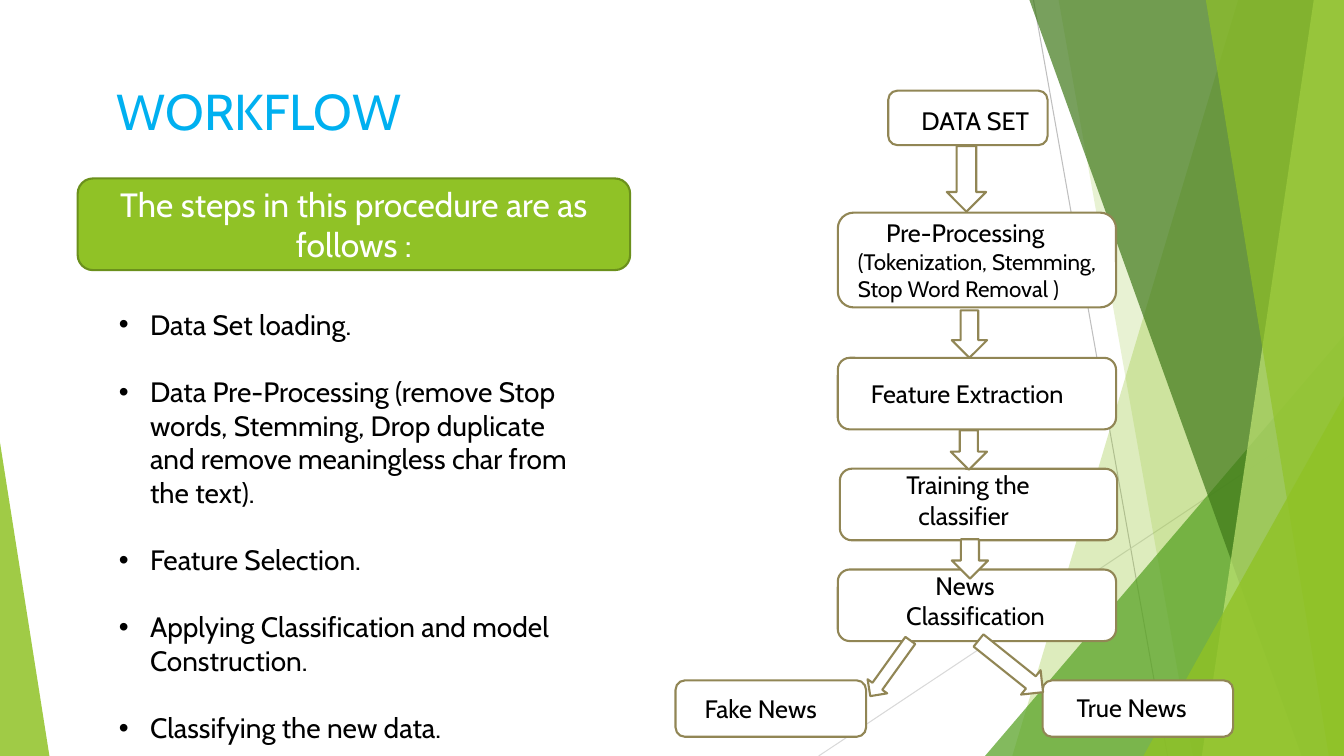
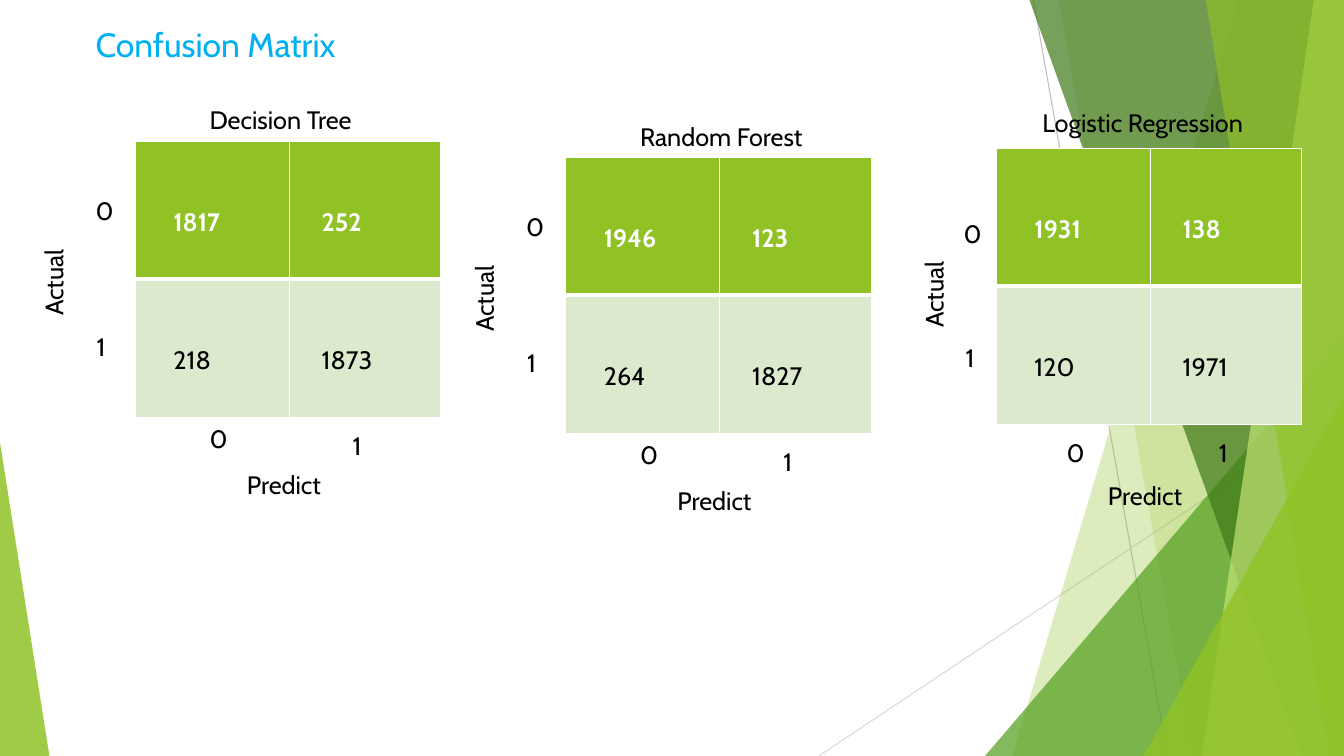
from lxml import etree
from pptx import Presentation
from pptx.dml.color import RGBColor
from pptx.enum.shapes import MSO_CONNECTOR, MSO_SHAPE
from pptx.enum.text import MSO_ANCHOR, PP_ALIGN
from pptx.oxml import parse_xml
from pptx.oxml.ns import nsdecls, qn
from pptx.util import Inches, Pt

FONT = "Cabin"
COLORS = {
    "title": "00B0F0", "text": "000000", "white": "FFFFFF",
    "green": "90C226", "leaf": "54A021", "forest": "3F7819", "lime": "C0E474",
    "banner_line": "6B901C", "flow_line": "918655", "pale": "DBE9CD",
    "ray_dark": "BFBFBF", "ray_light": "D9D9D9",
}


def rgb(name):
    return RGBColor.from_string(COLORS[name])


def paint(sp, fill, line=None, alpha=None):
    """Give a shape a flat fill, an optional outline and an opacity in percent."""
    sp.shadow.inherit = False
    sp.fill.solid()
    sp.fill.fore_color.rgb = rgb(fill)
    if alpha:
        clr = sp.element.spPr.find(qn("a:solidFill"))[0]
        etree.SubElement(clr, qn("a:alpha"), val=str(alpha * 1000))
    if line:
        sp.line.color.rgb = rgb(line)
        sp.line.width = Pt(1.5)
    else:
        sp.line.fill.background()


def write(tf, text, size=18, color="text", bold=False, align=None,
          indent=0, bullet=False, after=0):
    """Add one paragraph to a text frame, filling the first one if it is empty."""
    tf.word_wrap = True
    p = tf.add_paragraph() if tf.text else tf.paragraphs[0]
    p.alignment = align
    p.space_after = Pt(after)
    r = p.add_run()
    r.text = text
    r.font.name, r.font.size, r.font.bold = FONT, Pt(size), bold
    r.font.color.rgb = rgb(color)
    pPr = p._p.get_or_add_pPr()
    if bullet:
        pPr.set("marL", str(Inches(indent)))
        pPr.set("indent", str(-Inches(indent)))
        etree.SubElement(pPr, qn("a:buFont"), typeface="Arial")
        etree.SubElement(pPr, qn("a:buChar"), char="•")
    elif indent:
        pPr.set("marL", "0")
        pPr.set("indent", str(Inches(indent)))


prs = Presentation()
prs.slide_width, prs.slide_height = Inches(13.33), Inches(7.5)
layout = prs.slide_layouts[6]
for ph in list(layout.placeholders):
    ph.element.getparent().remove(ph.element)
workflow = prs.slides.add_slide(layout)
matrices = prs.slides.add_slide(layout)

# Backdrop: drawn once as a group, then moved to the layout both slides use
backdrop = workflow.shapes.add_group_shape()
for x1, y1, x2, y2, color in [
    (10.25, 0, 11.58, 7.5, "ray_dark"),
    (13.33, 4.03, 8.12, 7.5, "ray_light"),
]:
    ray = backdrop.shapes.add_connector(
        MSO_CONNECTOR.STRAIGHT, Inches(x1), Inches(y1), Inches(x2), Inches(y2))
    ray.line.color.rgb = rgb(color)
    ray.line.width = Pt(0.75)
    etree.SubElement(ray.element.spPr, qn("a:effectLst"))

# Bands run from a top x to a bottom x and fill up to the right edge;
# triangles have a frame and the side on which the tip stands
for kind, geometry, color, alpha in [
    ("band", (12.28, 10.04), "green", 30),
    ("band", (10.5, 11.83), "green", 20),
    ("triangle", (9.77, 3.33, 3.56, 4.17, 1), "leaf", 72),
    ("band", (10.21, 12.91), "forest", 70),
    ("band", (13.03, 11.92), "lime", 70),
    ("band", (11.96, 13.18), "green", 65),
    ("triangle", (11.34, 3.93, 1.99, 3.57, 1), "green", 80),
    ("triangle", (0, 4.39, 0.49, 3.11, 0), "green", 85),
]:
    if kind == "band":
        top, bottom = geometry
        outline = backdrop.shapes.build_freeform(Inches(top), 0)
        outline.add_line_segments(
            [(Inches(x), Inches(y)) for x, y in
             [(13.33, 0), (13.33, 7.5), (bottom, 7.5)]])
        sp = outline.convert_to_shape()
    else:
        *frame, tip = geometry
        sp = backdrop.shapes.add_shape(
            MSO_SHAPE.ISOSCELES_TRIANGLE, *map(Inches, frame))
        sp.adjustments[0] = tip
    paint(sp, color, alpha=alpha)
layout.shapes.element.append(backdrop.element)

# Slide 1: workflow
title = workflow.shapes.add_textbox(*map(Inches, (1.06, 0.75, 4.77, 0.71)))
write(title.text_frame, "WORKFLOW", size=36, color="title")

banner = workflow.shapes.add_shape(
    MSO_SHAPE.ROUNDED_RECTANGLE, *map(Inches, (0.77, 1.77, 5.48, 0.91)))
paint(banner, "green", "banner_line")
banner.text_frame.vertical_anchor = MSO_ANCHOR.MIDDLE
write(banner.text_frame, "The steps in this procedure are as follows :",
      size=24, color="white", align=PP_ALIGN.CENTER)

steps = workflow.shapes.add_textbox(*map(Inches, (1.08, 3, 4.66, 4.48)))
for text in [
    "Data Set loading.",
    "Data Pre-Processing (remove Stop words, Stemming, Drop duplicate and "
    "remove meaningless char from the text).",
    "Feature Selection.",
    "Applying Classification and model Construction.",
    "Classifying the new data.",
]:
    write(steps.text_frame, text, size=20, indent=0.31, bullet=True, after=24)

for box in [
    (8.81, 0.9, 1.58, 0.54),
    (8.31, 2.11, 2.76, 0.94),
    (8.31, 3.55, 2.76, 0.71),
    (8.33, 4.65, 2.75, 0.71),
    (8.31, 5.65, 2.76, 0.71),
    (6.7, 6.75, 1.89, 0.56),
    (10.34, 6.75, 1.89, 0.56),
]:
    sp = workflow.shapes.add_shape(MSO_SHAPE.ROUNDED_RECTANGLE, *map(Inches, box))
    paint(sp, "white", "flow_line")

for *frame, rotation in [
    (9.39, 1.45, 0.39, 0.65, 0),
    (9.44, 3.08, 0.35, 0.47, 0),
    (9.43, 4.27, 0.36, 0.39, 0),
    (9.44, 5.35, 0.36, 0.39, 0),
    (8.71, 6.29, 0.24, 0.68, 35.7),
    (9.87, 6.2, 0.31, 0.82, 308.7),
]:
    arrow = workflow.shapes.add_shape(MSO_SHAPE.DOWN_ARROW, *map(Inches, frame))
    arrow.rotation = rotation
    paint(arrow, "white", "flow_line")

# Each label: frame, then lines as (text, size, first-line indent)
for frame, lines in [
    ((9.04, 1, 1.32, 0.4), [("DATA SET", 18, 0)]),
    ((8.41, 2.11, 2.76, 0.94), [("Pre-Processing", 18, 0.28),
                                ("(Tokenization, Stemming,", 16, 0),
                                ("Stop Word Removal )", 16, 0)]),
    ((8.54, 3.7, 2.38, 0.4), [("Feature Extraction", 18, 0)]),
    ((8.89, 4.61, 1.79, 0.71), [("Training the", 18, 0), ("classifier", 18, 0.12)]),
    ((8.89, 5.61, 1.9, 0.71), [("News Classification", 18, 0.29)]),
    ((6.89, 6.83, 1.85, 0.4), [("Fake News", 18, 0)]),
    ((10.58, 6.82, 1.54, 0.4), [("True News", 18, 0)]),
]:
    label = workflow.shapes.add_textbox(*map(Inches, frame))
    for text, size, indent in lines:
        write(label.text_frame, text, size=size, indent=indent)

# Slide 2: confusion matrices
title = matrices.shapes.add_textbox(*map(Inches, (0.85, 0.19, 4.17, 0.5)))
write(title.text_frame, "Confusion Matrix", size=24, color="title")

# Label offsets from the table corner: name, actual 0 and 1, predicted 0 and 1, axes
OFFSETS = [(0.64, -0.41), (-0.49, 0.49), (-0.48, 1.84), (0.64, 2.75),
           (2.06, 2.82), (1.01, 3.21), (-1.73, 0.71)]
WIDE_OFFSETS = [(0.36, -0.45), (-0.42, 0.65), (-0.4, 1.88), (0.6, 2.82),
                (2.11, 2.82), (1.01, 3.25), (-1.54, 0.76)]
WIDTHS = [2.41, 0.39, 0.39, 0.39, 0.39, 1.84, 1.84]

for name, left, top, values, offsets in [
    ("Decision Tree", 1.34, 1.4, [(1817, 252), (218, 1873)], OFFSETS),
    ("Random Forest", 5.61, 1.56, [(1946, 123), (264, 1827)], OFFSETS),
    ("Logistic Regression", 9.88, 1.47, [(1931, 138), (120, 1971)], WIDE_OFFSETS),
]:
    table = matrices.shapes.add_table(
        2, 2, *map(Inches, (left, top, 3.03, 2.74))).table
    table.first_row = table.horz_banding = False
    for col, width in zip(table.columns, (1.53, 1.5)):
        col.width = Inches(width)
    for i, row in enumerate(values):
        table.rows[i].height = Inches(1.37)
        for j, value in enumerate(row):
            cell = table.cell(i, j)
            cell.margin_top = Inches(0.65)
            cell.margin_left = Inches((0.38, 0.32)[j])
            inner = "B" if i == 0 else "T"
            for side in "LRTB":
                width = Pt(3 if side == inner else 1)
                cell._tc.get_or_add_tcPr().append(parse_xml(
                    f'<a:ln{side} {nsdecls("a")} w="{width}"><a:solidFill>'
                    f'<a:srgbClr val="{COLORS["white"]}"/></a:solidFill></a:ln{side}>'))
            cell.fill.solid()
            cell.fill.fore_color.rgb = rgb(("green", "pale")[i])
            write(cell.text_frame, str(value), bold=i == 0,
                  color=("white", "text")[i])

    texts = [name, "0", "1", "0", "1", "Predict", "Actual"]
    for text, (dx, dy), width in zip(texts, offsets, WIDTHS):
        label = matrices.shapes.add_textbox(
            *map(Inches, (left + dx, top + dy, width, 0.4)))
        label.rotation = 270 if text == "Actual" else 0
        write(label.text_frame, text)

prs.save("out.pptx")
